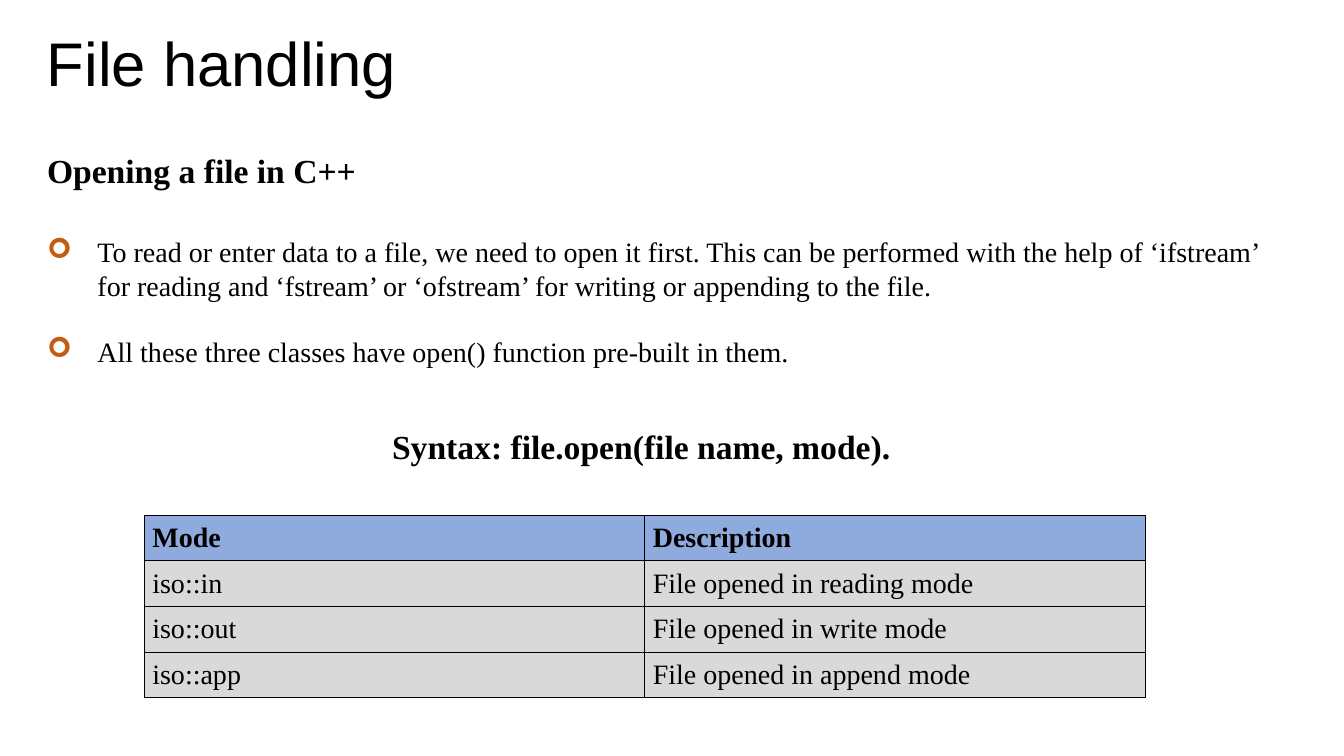
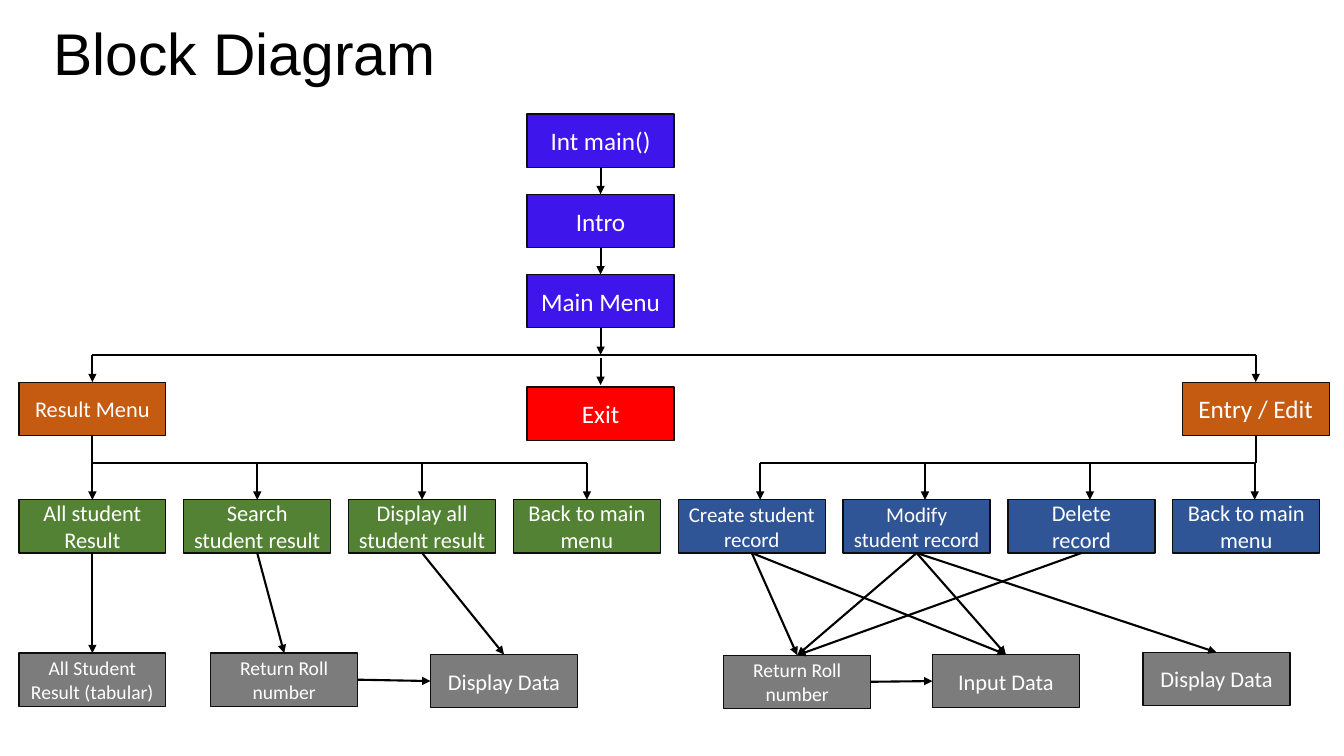
from lxml import etree
from pptx import Presentation
from pptx.dml.color import RGBColor
from pptx.enum.shapes import MSO_CONNECTOR, MSO_SHAPE
from pptx.enum.text import MSO_ANCHOR, MSO_AUTO_SIZE, PP_ALIGN
from pptx.oxml.ns import qn
from pptx.util import Pt

RECTANGLE = MSO_SHAPE.RECTANGLE
STRAIGHT = MSO_CONNECTOR.STRAIGHT
MIDDLE = MSO_ANCHOR.MIDDLE
LEFT, CENTER = PP_ALIGN.LEFT, PP_ALIGN.CENTER
GROW = MSO_AUTO_SIZE.SHAPE_TO_FIT_TEXT
TOP_SITE, LEFT_SITE, BOTTOM_SITE, RIGHT_SITE = range(4)

COLORS = {
    "black": "000000", "white": "FFFFFF", "outline": "0D0D0D",
    "program": "3E15EB", "exit": "FF0000", "menu": "C55A11",
    "result": "548235", "entry": "2F5597", "output": "7C7C7C",
    "header": "8FAADC", "cell": "D9D9D9",
}
TITLE = {"name": "Arial", "size": Pt(44)}
HEADING = {"name": "Times New Roman", "size": Pt(24), "bold": True}
BODY = {"name": "Times New Roman", "size": Pt(20), "bold": False}
BOX = {"name": "Calibri", "size": Pt(18)}
CELL_FORMAT = {
    "vertical_anchor": MIDDLE,
    "margin_left": Pt(5.8), "margin_right": Pt(5.8),
    "margin_top": Pt(1.4), "margin_bottom": Pt(1.4),
}
BOX_WIDTH, BOX_HEIGHT = 105, 38


def color(name):
    return RGBColor.from_string(COLORS[name])


def apply_format(target, values):
    for name, value in values.items():
        setattr(target, name, value)


class Deck:
    """Holds the shared style and the slide being filled."""

    def __init__(self):
        self.presentation = Presentation()
        self.presentation.slide_width = Pt(960)
        self.presentation.slide_height = Pt(540)
        self.slide = None

    def new_slide(self, title, left, top, width, size=44):
        blank = self.presentation.slide_layouts[6]
        self.slide = self.presentation.slides.add_slide(blank)
        self.text(title, left, top, width, 60, TITLE | {"size": Pt(size)})

    def style_paragraph(self, paragraph, font, ink="black", align=LEFT):
        paragraph.alignment = align
        for run in paragraph.runs:
            apply_format(run.font, font)
            run.font.color.rgb = color(ink)

    def fill_text(self, frame, text, font, ink="black", align=LEFT):
        frame.text = text
        for paragraph in frame.paragraphs:
            self.style_paragraph(paragraph, font, ink, align)

    def text(self, text, left, top, width, height, font, wrap=True):
        shape = self.slide.shapes.add_textbox(
            Pt(left), Pt(top), Pt(width), Pt(height))
        frame = shape.text_frame
        apply_format(frame, {"word_wrap": wrap, "auto_size": GROW})
        self.fill_text(frame, text, font)
        return frame

    def bullet(self, frame, text, space_before):
        paragraph = frame.add_paragraph()
        paragraph.text = text
        paragraph.space_before = Pt(space_before)
        self.style_paragraph(paragraph, BODY)
        properties = paragraph._p.get_or_add_pPr()
        properties.set("marL", str(Pt(36)))
        properties.set("indent", str(-Pt(36)))
        bullet_color = etree.SubElement(properties, qn("a:buClr"))
        etree.SubElement(bullet_color, qn("a:srgbClr"), val=COLORS["menu"])
        etree.SubElement(properties, qn("a:buFont"), typeface="Wingdings")
        etree.SubElement(properties, qn("a:buChar"), char="➢")

    def cell_borders(self, cell):
        properties = cell._tc.get_or_add_tcPr()
        for side in ("a:lnL", "a:lnR", "a:lnT", "a:lnB"):
            line = etree.SubElement(properties, qn(side), w=str(Pt(1)))
            fill = etree.SubElement(line, qn("a:solidFill"))
            etree.SubElement(fill, qn("a:srgbClr"), val=COLORS["black"])

    def table(self, rows, left, top, width, height):
        table = self.slide.shapes.add_table(
            len(rows), len(rows[0]),
            Pt(left), Pt(top), Pt(width), Pt(height)).table
        for row_index, row in enumerate(rows):
            is_header = row_index == 0
            for column_index, text in enumerate(row):
                cell = table.cell(row_index, column_index)
                apply_format(cell, CELL_FORMAT)
                self.cell_borders(cell)
                cell.fill.solid()
                cell.fill.fore_color.rgb = color(
                    "header" if is_header else "cell")
                self.fill_text(cell.text_frame, text,
                               BODY | {"bold": is_header})

    def box(self, text, left, top, fill, size=18):
        shape = self.slide.shapes.add_shape(
            RECTANGLE, Pt(left), Pt(top), Pt(BOX_WIDTH), Pt(BOX_HEIGHT))
        shape.shadow.inherit = False
        shape.fill.solid()
        shape.fill.fore_color.rgb = color(fill)
        shape.line.color.rgb = color("outline")
        shape.line.width = Pt(1)
        shape.text_frame.vertical_anchor = MIDDLE
        self.fill_text(shape.text_frame, text, BOX | {"size": Pt(size)},
                       "white", CENTER)
        return shape

    def line(self, start, end, arrow=True):
        connector = self.slide.shapes.add_connector(
            STRAIGHT, *(Pt(value) for value in (*start, *end)))
        connector.line.color.rgb = color("black")
        connector.line.width = Pt(1.5)
        if arrow:
            etree.SubElement(connector.line._get_or_add_ln(),
                             qn("a:tailEnd"), type="triangle")
        etree.SubElement(connector._element.spPr, qn("a:effectLst"))
        return connector

    def link(self, source, target, sites=(BOTTOM_SITE, TOP_SITE)):
        """Arrow glued to two boxes."""
        connector = self.line((0, 0), (0, 0))
        connector.begin_connect(source, sites[0])
        connector.end_connect(target, sites[1])

    def branch(self, bus_y, start, drops, end_y):
        """Stem from start to a horizontal bus, with arrows down from it."""
        self.line(start, (start[0], bus_y), arrow=False)
        self.line((drops[0], bus_y), (drops[-1], bus_y), arrow=False)
        for x in drops:
            self.line((x, bus_y), (x, end_y))


def file_handling(deck):
    deck.new_slide("File handling", 26.5, 14.5, 371.5)
    frame = deck.text("Opening a file in C++", 26.5, 103.5, 907, 167, HEADING)
    deck.bullet(frame, "To read or enter data to a file, we need to open it "
                "first. This can be performed with the help of ‘ifstream’ for "
                "reading and ‘fstream’ or ‘ofstream’ for writing or appending "
                "to the file.", 32)
    deck.bullet(frame, "All these three classes have open() function "
                "pre-built in them.", 23)
    deck.text("Syntax: file.open(file name, mode).", 273, 301, 373.5, 36,
              HEADING, wrap=False)
    deck.table([
        ("Mode", "Description"),
        ("iso::in", "File opened in reading mode"),
        ("iso::out", "File opened in write mode"),
        ("iso::app", "File opened in append mode"),
    ], 103, 368, 715, 130.4)


def block_diagram(deck):
    deck.new_slide("Block Diagram", 31, 8.5, 796, size=42)
    first_left, step, task_top = 13.5, 117.75, 357
    half = BOX_WIDTH / 2

    program_left = 376.5
    program = [deck.box(text, program_left, 81.5 + 57.3 * index, "program")
               for index, text in enumerate(("Int main()", "Intro",
                                             "Main Menu"))]
    for upper, lower in zip(program, program[1:]):
        deck.link(upper, lower)

    menu_top, entry_left, bus_y = 273, 844.5, 253.5
    program_x, entry_x = program_left + half, entry_left + half
    result_x = first_left + half
    deck.line((program_x, 234), (program_x, bus_y))
    deck.line((program_x, 255.5), (program_x, 275))
    deck.line((result_x, bus_y), (entry_x, bus_y), arrow=False)
    for x in (result_x, entry_x):
        deck.line((x, bus_y), (x, menu_top))
    deck.box("Exit", program_left, 276.5, "exit")
    deck.box("Result Menu", first_left, menu_top, "menu", 16)
    deck.box("Entry / Edit", entry_left, menu_top, "menu")

    tasks = [deck.box(text, first_left + step * index, task_top, fill, size)
             for index, (text, fill, size) in enumerate([
                 ("All student Result", "result", 16),
                 ("Search student result", "result", 16),
                 ("Display all student result", "result", 16),
                 ("Back to main menu", "result", 16),
                 ("Create student record", "entry", 15),
                 ("Modify student record", "entry", 15),
                 ("Delete\nrecord", "entry", 16),
                 ("Back to main menu", "entry", 16)])]
    centers = [result_x + step * index for index in range(len(tasks))]
    menu_bottom = menu_top + BOX_HEIGHT
    deck.branch(330.5, (result_x, menu_bottom), centers[:4], task_top)
    deck.branch(330.5, (entry_x, menu_bottom),
                [x + 6 for x in centers[4:]], task_top)

    tabular, result_roll, result_data, entry_roll, entry_input, entry_data = [
        deck.box(text, left, top, "output", size)
        for text, left, top, size in [
            ("All Student Result (tabular)", first_left, 466.5, 14),
            ("Return Roll number", 150.5, 466.5, 14),
            ("Display Data", 307.5, 467.5, 16),
            ("Return Roll number", 517, 468, 14),
            ("Input Data", 666, 467.5, 16),
            ("Display Data", 816.5, 466, 16)]]
    show_all, search, display, _, create, modify, delete, _ = tasks
    for source, target in [
            (show_all, tabular), (search, result_roll),
            (display, result_data), (create, entry_roll),
            (create, entry_input), (modify, entry_roll),
            (modify, entry_input), (modify, entry_data),
            (delete, entry_roll)]:
        deck.link(source, target)
    for source, target in [(result_roll, result_data),
                           (entry_roll, entry_input)]:
        deck.link(source, target, (RIGHT_SITE, LEFT_SITE))


def main():
    deck = Deck()
    file_handling(deck)
    block_diagram(deck)
    deck.presentation.save("out.pptx")


if __name__ == "__main__":
    main()
